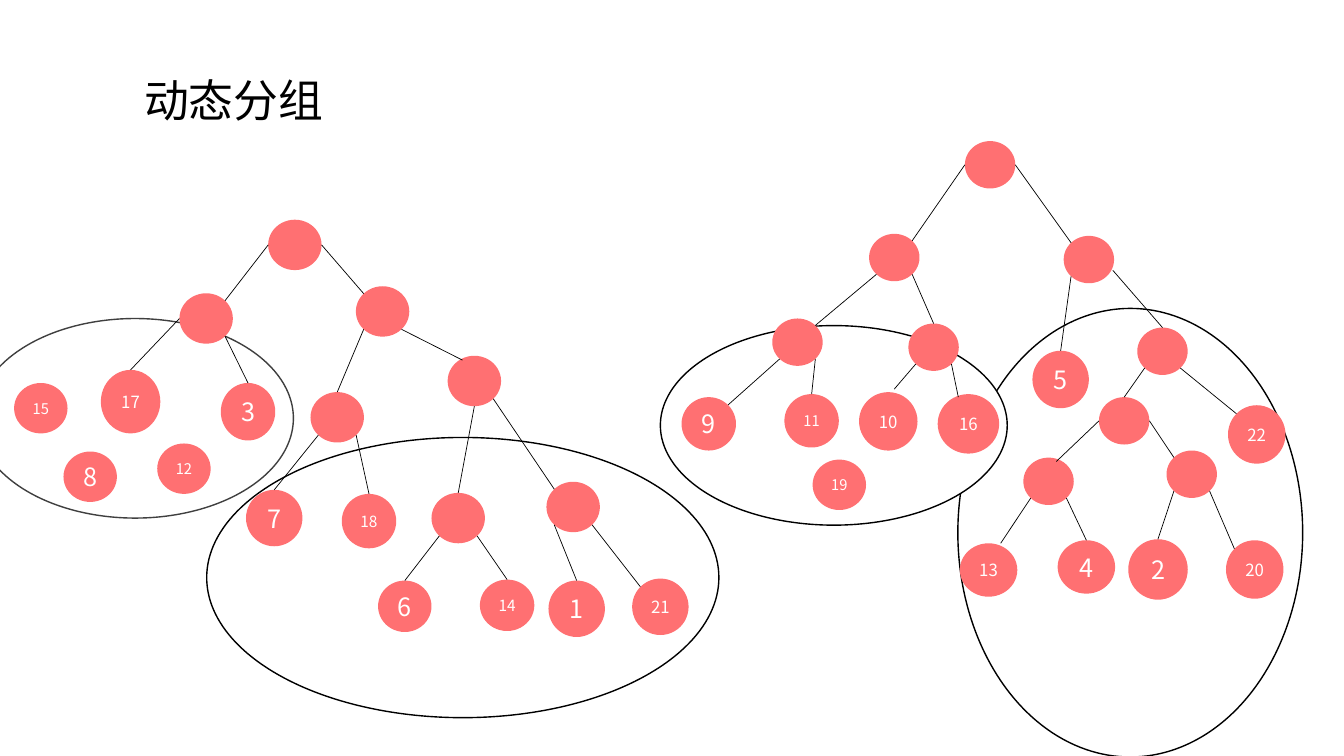
import dataclasses
import typing

import lxml.etree
import pptx
import pptx.dml.color
import pptx.enum.shapes
import pptx.enum.text
import pptx.oxml.ns
import pptx.util

Inches = pptx.util.Inches
Point = tuple[float, float]
FONT = "Noto Sans CJK SC"
COLOURS = {"node": "FF7072", "paper": "FFFFFF", "ink": "000000", "soft_ink": "3F3F3F"}
DIAGONAL = 0.146
SITES = {
    "top": (0.5, 0), "bottom": (0.5, 1), "left": (0, 0.5), "right": (1, 0.5),
    "top_left": (DIAGONAL, DIAGONAL), "top_right": (1 - DIAGONAL, DIAGONAL),
    "bottom_left": (DIAGONAL, 1 - DIAGONAL), "bottom_right": (1 - DIAGONAL, 1 - DIAGONAL),
}
ANCHOR = pptx.enum.text.MSO_ANCHOR
FIT = pptx.enum.text.MSO_AUTO_SIZE
ALIGN = pptx.enum.text.PP_ALIGN
TITLE_FRAME = {"vertical_anchor": ANCHOR.MIDDLE, "word_wrap": True, "auto_size": FIT.SHAPE_TO_FIT_TEXT}
NODE_FRAME = {"vertical_anchor": ANCHOR.MIDDLE, "word_wrap": False,
              "margin_left": 0, "margin_right": 0, "margin_top": 0, "margin_bottom": 0}


@dataclasses.dataclass
class Node:
    left: float
    top: float
    width: float = 0.53
    height: float = 0.5
    size: float = 18

    def site(self, name: str, shift: Point) -> Point:
        across, down = SITES[name]
        return self.left + self.width * across + shift[0], self.top + self.height * down + shift[1]


@dataclasses.dataclass
class Edge:
    parent: str
    leaving: str
    child: str
    entering: str = "top"
    end_shift: Point = (0, 0)
    start_shift: Point = (0, 0)


@dataclasses.dataclass
class Tree:
    nodes: dict[str, Node]
    edges: list[Edge]


@dataclasses.dataclass
class Cluster:
    left: float
    top: float
    width: float
    height: float
    line: str = "ink"


CLUSTERS = [
    Cluster(9.5, 3.06, 3.42, 4.45),
    Cluster(6.55, 3.23, 3.44, 1.98),
    Cluster(2.05, 4.34, 5.08, 2.78),
    Cluster(-0.23, 3.16, 3.14, 1.98, "soft_ink"),
]


def inner_nodes(places: dict[str, Point], width: float, height: float) -> dict[str, Node]:
    return {name: Node(left, top, width, height) for name, (left, top) in places.items()}


LEFT_TREE = Tree(
    inner_nodes({"A": (2.66, 2.18), "B": (1.78, 2.91), "C": (3.53, 2.84), "D": (3.08, 3.89),
                 "E": (4.44, 3.53), "F": (4.28, 4.89), "G": (5.42, 4.78)}, 0.53, 0.5)
    | {
        "17": Node(1, 3.67, 0.59, 0.63, 12),
        "3": Node(2.19, 3.8, 0.54, 0.57),
        "18": Node(3.39, 4.9, 0.54, 0.54, 11),
        "7": Node(2.44, 4.86, 0.56, 0.56),
        "6": Node(3.75, 5.76, 0.53, 0.51),
        "14": Node(4.76, 5.75, 0.54, 0.51, 11),
        "1": Node(5.44, 5.76, 0.56, 0.56),
        "21": Node(6.27, 5.74, 0.56, 0.56, 12),
    },
    [
        Edge("A", "left", "B", "top_right"), Edge("A", "right", "C", "top_left"),
        Edge("B", "left", "17"), Edge("B", "bottom_right", "3"),
        Edge("C", "bottom_left", "D"), Edge("C", "bottom_right", "E", "top_left", (0.07, -0.03)),
        Edge("D", "bottom_left", "7"), Edge("D", "bottom_right", "18"),
        Edge("E", "bottom", "F"), Edge("E", "bottom_right", "G", "top_left"),
        Edge("F", "bottom_left", "6"), Edge("F", "bottom_right", "14"),
        Edge("G", "bottom_left", "1"), Edge("G", "bottom_right", "21", "top_left"),
    ],
)
RIGHT_TREE = Tree(
    inner_nodes({"A": (9.57, 1.4), "B": (8.62, 2.32), "C": (10.55, 2.34), "D": (7.66, 3.16),
                 "E": (9.01, 3.21), "F": (11.28, 3.25), "G": (10.9, 3.94), "H": (10.15, 4.54),
                 "I": (11.57, 4.47)}, 0.5, 0.47)
    | {
        "9": Node(6.76, 3.94, 0.54, 0.53),
        "11": Node(7.78, 3.91, 0.54, 0.53, 10.5),
        "16": Node(9.3, 3.91, 0.61, 0.59, 12),
        "10": Node(8.52, 3.89, 0.58, 0.58, 12),
        "5": Node(10.24, 3.48, 0.56, 0.57),
        "22": Node(12.18, 4.02, 0.57, 0.58, 12),
        "13": Node(9.52, 5.39, 0.57, 0.53, 12),
        "4": Node(10.49, 5.36, 0.57, 0.53),
        "2": Node(11.19, 5.35, 0.59, 0.6),
        "20": Node(12.16, 5.36, 0.57, 0.58, 12),
    },
    [
        Edge("A", "left", "B", "top_right"), Edge("A", "right", "C", "top_left"),
        Edge("B", "bottom_left", "D", "top_right"), Edge("B", "bottom_right", "E"),
        Edge("D", "bottom_left", "9", "top_right"), Edge("D", "bottom_right", "11"),
        Edge("E", "bottom_left", "10", "top", (0.06, -0.03)),
        Edge("E", "bottom_right", "16", "top", (-0.1, 0.03)),
        Edge("C", "bottom_left", "5"),
        Edge("C", "bottom_right", "F", start_shift=(0.06, -0.06)),
        Edge("F", "bottom_left", "G"), Edge("F", "bottom_right", "22", "top_left"),
        Edge("G", "left", "H", "top_right", (-0.1, -0.03)), Edge("G", "right", "I", "top_left"),
        Edge("H", "bottom_left", "13", "top", (0.12, 0)), Edge("H", "bottom_right", "4"),
        Edge("I", "bottom_left", "2"), Edge("I", "bottom_right", "20", "top_left"),
    ],
)
LOOSE_NODES = {
    "12": Node(1.56, 4.4, size=10.5),
    "19": Node(8.06, 4.56, size=10.5),
    "15": Node(0.14, 3.8, size=10.5),
    "8": Node(0.63, 4.48),
}


def colour(name: str) -> pptx.dml.color.RGBColor:
    return pptx.dml.color.RGBColor.from_string(COLOURS[name])


def apply(target: typing.Any, values: dict[str, typing.Any]) -> None:
    for name, value in values.items():
        setattr(target, name, value)


def write(box: typing.Any, text: str, size: float, ink: str, align: typing.Any, frame: dict) -> None:
    apply(box.text_frame, frame)
    para = box.text_frame.paragraphs[0]
    para.alignment = align
    span = para.add_run()
    span.text = text
    apply(span.font, {"name": FONT, "size": pptx.util.Pt(size), "bold": False})
    span.font.color.rgb = colour(ink)
    east_asian = lxml.etree.SubElement(span.font._element, pptx.oxml.ns.qn("a:ea"))
    east_asian.set("typeface", FONT)


def add_ellipse(shapes: typing.Any, place: Node | Cluster, fill: str) -> typing.Any:
    bounds = map(Inches, (place.left, place.top, place.width, place.height))
    ellipse = shapes.add_shape(pptx.enum.shapes.MSO_SHAPE.OVAL, *bounds)
    ellipse.shadow.inherit = False
    ellipse.fill.solid()
    ellipse.fill.fore_color.rgb = colour(fill)
    return ellipse


def add_cluster(shapes: typing.Any, cluster: Cluster) -> None:
    ellipse = add_ellipse(shapes, cluster, "paper")
    ellipse.line.width = pptx.util.Pt(1)
    ellipse.line.color.rgb = colour(cluster.line)


def add_nodes(shapes: typing.Any, nodes: dict[str, Node]) -> None:
    for name, node in nodes.items():
        ellipse = add_ellipse(shapes, node, "node")
        ellipse.line.fill.background()
        if name.isdigit():
            write(ellipse, name, node.size, "paper", ALIGN.CENTER, NODE_FRAME)


def add_tree(shapes: typing.Any, tree: Tree) -> None:
    group = shapes.add_group_shape()
    add_nodes(group.shapes, tree.nodes)
    for edge in tree.edges:
        start = tree.nodes[edge.parent].site(edge.leaving, edge.start_shift)
        end = tree.nodes[edge.child].site(edge.entering, edge.end_shift)
        branch = group.shapes.add_connector(
            pptx.enum.shapes.MSO_CONNECTOR.STRAIGHT, *map(Inches, start + end))
        branch.line.width = pptx.util.Pt(0.5)
        branch.line.color.rgb = colour("ink")
        lxml.etree.SubElement(branch._element.spPr, pptx.oxml.ns.qn("a:effectLst"))


def main() -> None:
    """Build the dynamic grouping slide and save it."""
    deck = pptx.Presentation()
    apply(deck, {"slide_width": Inches(13.33), "slide_height": Inches(7.5)})
    page = deck.slides.add_slide(deck.slide_layouts[5])
    title = page.shapes.title
    apply(title, {"left": Inches(1.33), "top": Inches(0.67), "width": Inches(4.69), "height": Inches(0.64)})
    write(title, "动态分组", 32, "ink", ALIGN.LEFT, TITLE_FRAME)
    for cluster in CLUSTERS:
        add_cluster(page.shapes, cluster)
    for tree in (LEFT_TREE, RIGHT_TREE):
        add_tree(page.shapes, tree)
    add_nodes(page.shapes, LOOSE_NODES)
    deck.save("out.pptx")


if __name__ == "__main__":
    main()
